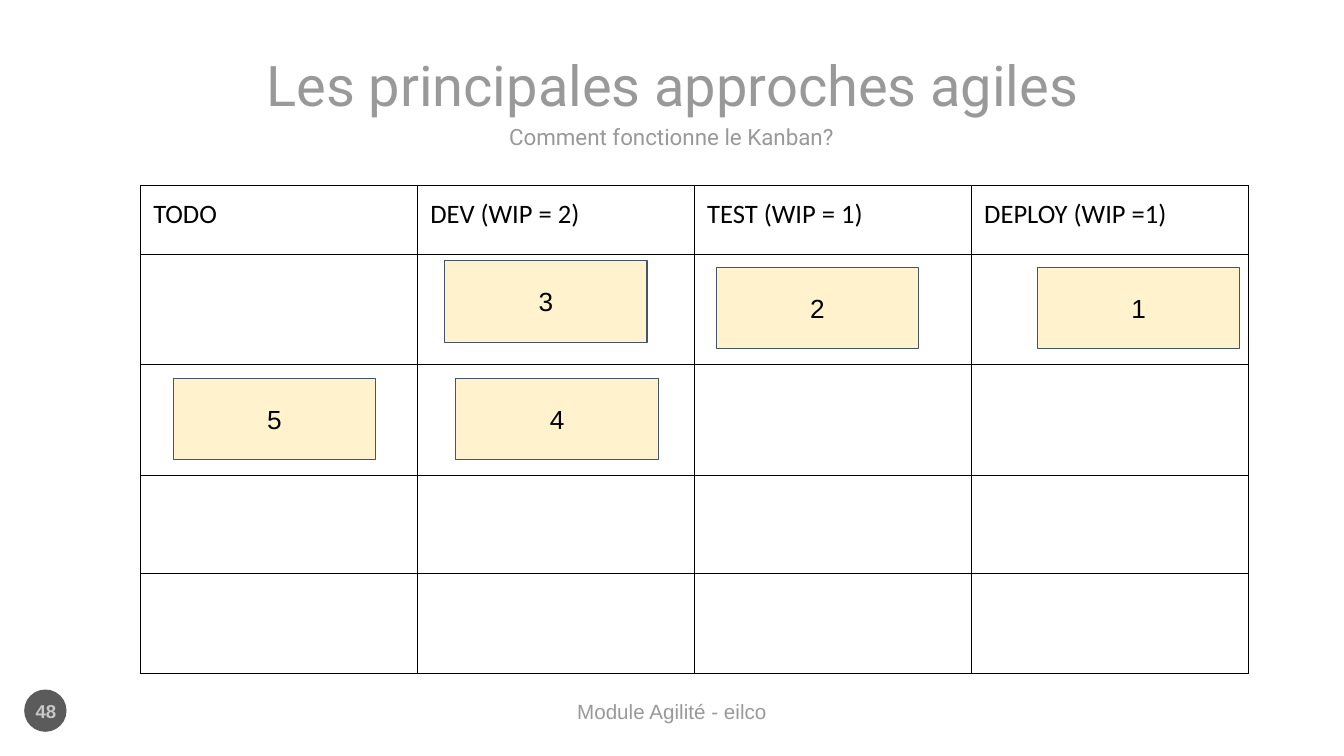
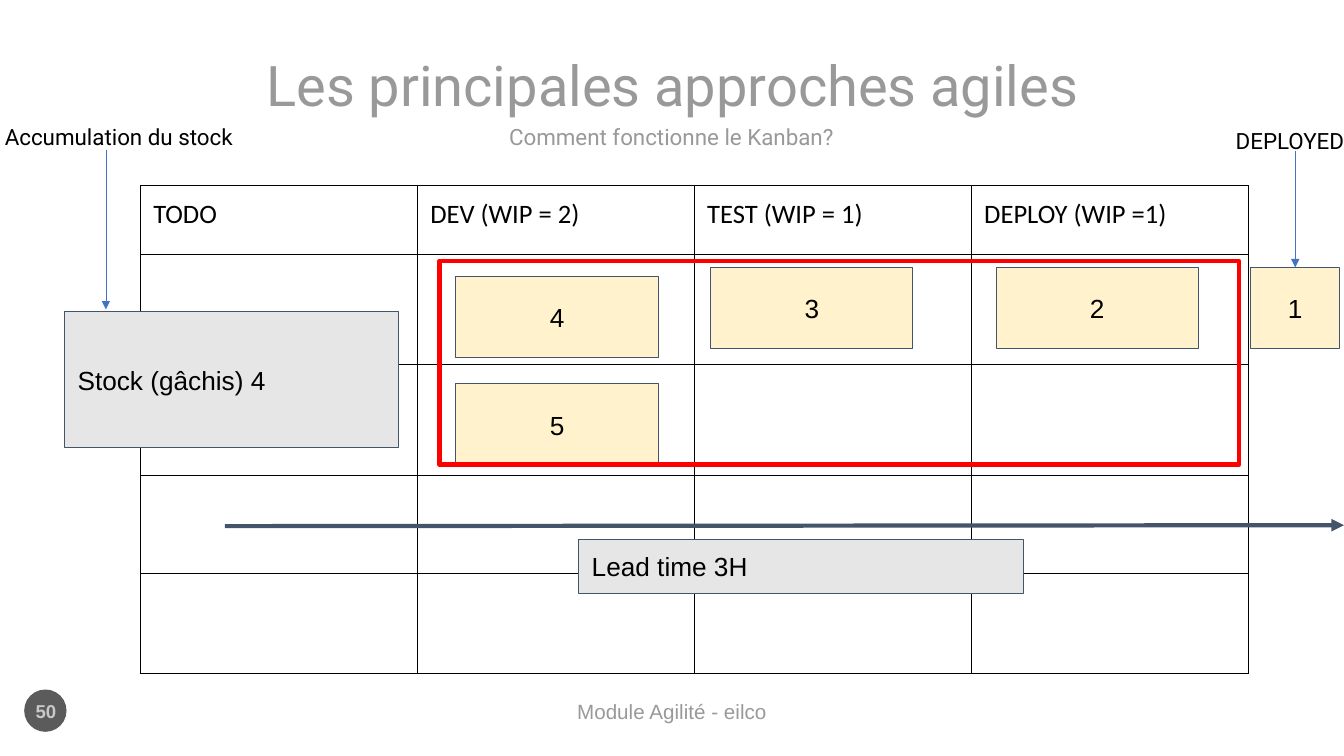
from lxml import etree
from pptx import Presentation
from pptx import util as u
from pptx.dml.color import RGBColor
from pptx.enum import shapes, text
from pptx.oxml.ns import qn

GREY, BLACK, NAVY, BLUE, RED = "999999", "000000", "44546A", "4472C4", "FF0000"
CREAM, SILVER = "FFF2CC", "E7E6E6"
RECT = shapes.MSO_SHAPE.RECTANGLE
LEFT, CENTER = text.PP_ALIGN.LEFT, text.PP_ALIGN.CENTER
TOP, MIDDLE = text.MSO_ANCHOR.TOP, text.MSO_ANCHOR.MIDDLE

deck = Presentation()
deck.slide_width, deck.slide_height = u.Inches(13.33), u.Inches(7.5)
# The slide is a grid of 100 columns by 100 rows
COL, ROW = deck.slide_width / 100, deck.slide_height / 100

# Board measures, in grid columns and rows
board_left, board_top, lane_width = 10.43, 24.53, 20.61
lanes = ["TODO", "DEV (WIP = 2)", "TEST (WIP = 1)", "DEPLOY (WIP =1)"]
heights = [9.07, 14.67, 14.67, 12.93, 13.2]


def rgb(code):
    return RGBColor.from_string(code)


def put(slide, words, box, size=18.7, font="Arial", color=BLACK, bold=False,
        align=CENTER, anchor=MIDDLE, inset=(0.13, 0.13), shape=None,
        fill=None, line=None, weight=0.75):
    """Place words in a box given in grid units, as a shape or a text box."""
    x, y, w, h = box
    place = int(x * COL), int(y * ROW), int(w * COL), int(h * ROW)
    if shape is None:
        item = slide.shapes.add_textbox(*place)
    else:
        item = slide.shapes.add_shape(shape, *place)
        item.shadow.inherit = False
    if fill:
        item.fill.solid()
        item.fill.fore_color.rgb = rgb(fill)
    else:
        item.fill.background()
    if line:
        item.line.color.rgb = rgb(line)
        item.line.width = u.Pt(weight)
    else:
        item.line.fill.background()
    frame = item.text_frame
    frame.word_wrap = True
    frame.vertical_anchor = anchor
    frame.margin_left = frame.margin_right = u.Inches(inset[0])
    frame.margin_top = frame.margin_bottom = u.Inches(inset[1])
    if words:
        paragraph = frame.paragraphs[0]
        paragraph.alignment = align
        run = paragraph.add_run()
        run.text = words
        run.font.size, run.font.name, run.font.bold = u.Pt(size), font, bold
        run.font.color.rgb = rgb(color)
    return item


# Cards of each slide: label, lane position, board row, share of the row above
# the card, width in lanes
boards = [
    ("48", [("1", 3.24, 1, 0.12, 0.73), ("2", 2.08, 1, 0.12, 0.73),
            ("3", 1.1, 1, 0.06, 0.73), ("4", 1.14, 2, 0.12, 0.73),
            ("5", 0.12, 2, 0.12, 0.73)]),
    ("50", [("2", 3.09, 1, 0.12, 0.73), ("3", 2.06, 1, 0.12, 0.73),
            ("4", 1.14, 1, 0.2, 0.73), ("5", 1.14, 2, 0.17, 0.73),
            ("1", 4.01, 1, 0.12, 0.32)]),
]

for number, cards in boards:
    slide = deck.slides.add_slide(deck.slide_layouts[6])

    # Title, subtitle and footer
    put(slide, "", (1.8, 91.2, 3.15, 5.6), shape=shapes.MSO_SHAPE.OVAL, fill="5B5B5B")
    put(slide, "Module Agilité - eilco", (7.58, 92.4, 84.83, 5.33), size=14.7,
        color=GREY, anchor=TOP, inset=(0, 0))
    put(slide, number, (0.9, 91.33, 5.03, 5.33), size=13.3, color="C8C8C8",
        bold=True, inset=(0.13, 0.07))
    put(slide, "Les principales approches agiles", (18.98, 7.47, 62.1, 7.2),
        size=40, font="Roboto", color=GREY, inset=(0.1, 0.1))
    put(slide, "Comment fonctionne le Kanban?", (33.23, 16.13, 33.45, 3.87),
        size=16, font="Roboto", color=GREY, inset=(0.1, 0.1))

    # Kanban board
    board = slide.shapes.add_table(
        len(heights), len(lanes), int(board_left * COL), int(board_top * ROW),
        int(lane_width * len(lanes) * COL), int(sum(heights) * ROW)).table
    board.first_row = board.horz_banding = False
    for lane in board.columns:
        lane.width = int(lane_width * COL)
    for row, height in zip(board.rows, heights):
        row.height = int(height * ROW)
    for cell in board.iter_cells():
        cell.margin_left = cell.margin_right = u.Inches(0.13)
        cell.margin_top = cell.margin_bottom = u.Inches(0.13)
        properties = cell._tc.get_or_add_tcPr()
        for side in ("a:lnL", "a:lnR", "a:lnT", "a:lnB"):
            border = etree.SubElement(properties, qn(side), w=str(u.Pt(0.75)))
            ink = etree.SubElement(border, qn("a:solidFill"))
            etree.SubElement(ink, qn("a:srgbClr"), val=BLACK)
        cell.fill.background()
    for index, lane_name in enumerate(lanes):
        run = board.cell(0, index).text_frame.paragraphs[0].add_run()
        run.text = lane_name
        run.font.size, run.font.name = u.Pt(19), "Calibri"
        run.font.color.rgb = rgb(BLACK)

    # Task cards
    for task, lane, row, share, width in cards:
        top = board_top + sum(heights[:row]) + share * heights[row]
        card = put(slide, task, (board_left + lane * lane_width, top,
                                 width * lane_width, 10.8),
                   shape=RECT, fill=CREAM, line=NAVY)

# Second slide: flow arrows, with the last card already deployed
deployed = card
middle = (deployed.left + deployed.width / 2) / COL
arrows = [((16.73, 69.6), (100, 69.47), NAVY, 3, None),
          ((middle, 20), (middle, 35.33), BLUE, 0.5, deployed),
          ((7.88, 19.87), (7.88, 40.93), BLUE, 0.5, None)]
for (x1, y1), (x2, y2), color, weight, target in arrows:
    arrow = slide.shapes.add_connector(
        shapes.MSO_CONNECTOR.STRAIGHT,
        int(x1 * COL), int(y1 * ROW), int(x2 * COL), int(y2 * ROW))
    if target is not None:
        arrow.end_connect(target, 0)
    arrow.line.color.rgb = rgb(color)
    arrow.line.width = u.Pt(weight)
    etree.SubElement(arrow.line._get_or_add_ln(), qn("a:tailEnd"), type="triangle")
    etree.SubElement(arrow._element.spPr, qn("a:effectLst"))

# Second slide: work in progress frame, notes and captions
put(slide, "", (32.7, 34.53, 59.5, 26.93), shape=RECT, line=RED, weight=3)
for note, box in [("Lead time 3H", (43.05, 71.33, 33.1, 7.2)),
                  ("Stock (gâchis) 4", (4.8, 41.2, 24.85, 18))]:
    put(slide, note, box, align=LEFT, shape=RECT, fill=SILVER, line=NAVY)
for caption, box in [("DEPLOYED", (91.2, 16.13, 9.75, 4.93)),
                     ("Accumulation du stock", (-0.38, 15.6, 21.08, 4.93))]:
    put(slide, caption, box, size=16, font="Roboto", align=LEFT, anchor=TOP,
        inset=(0.1, 0.05))

deck.save("out.pptx")
